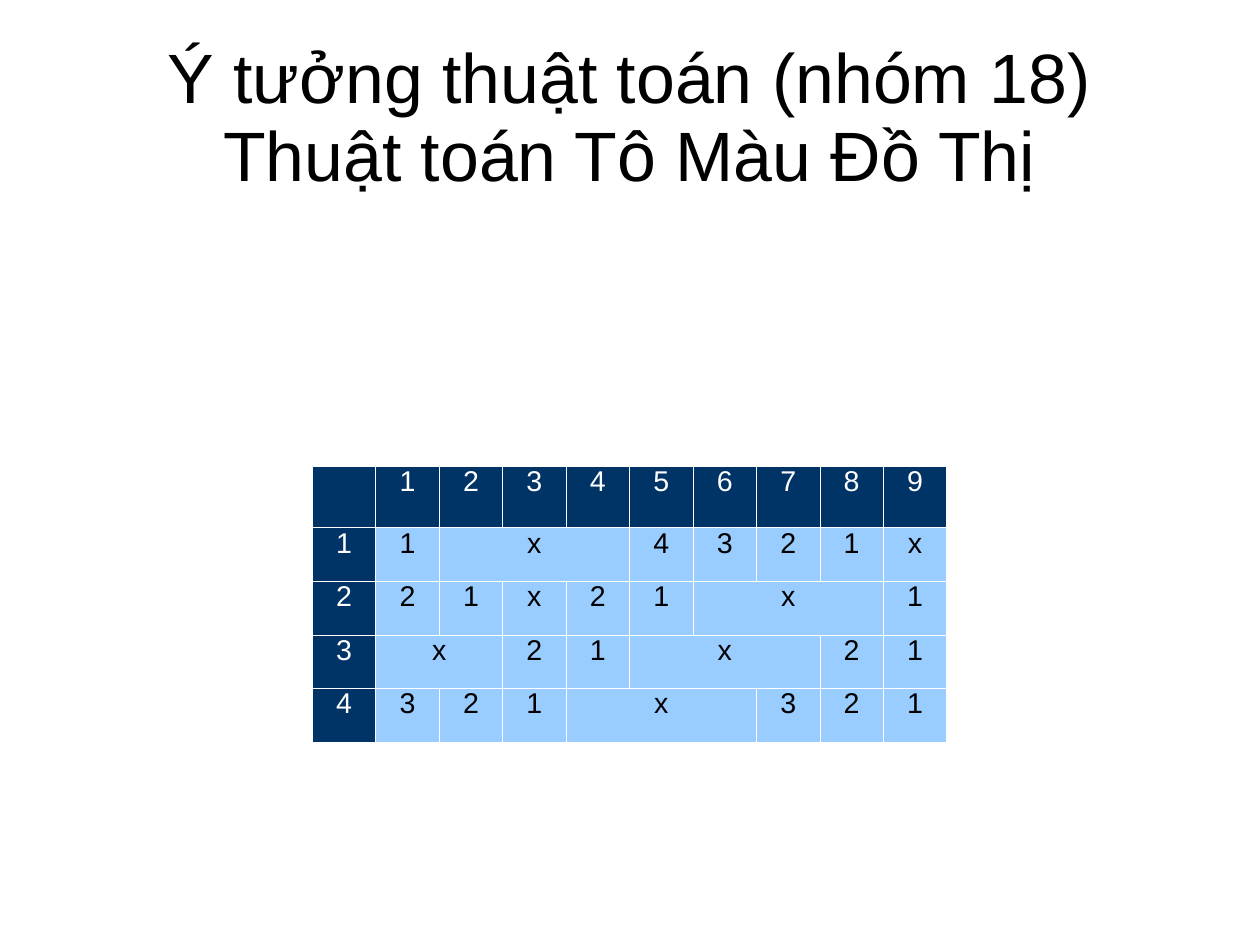
from dataclasses import dataclass

from lxml.etree import SubElement
from pptx import Presentation
from pptx.dml.color import RGBColor
from pptx.enum.text import MSO_ANCHOR, PP_ALIGN
from pptx.oxml.ns import qn
from pptx.util import Cm, Pt

# Content: one tuple per row, each entry a text and the columns it covers
TITLE = "Ý tưởng thuật toán (nhóm 18)\nThuật toán Tô Màu Đồ Thị"
HEADER = [("", 1)] + [(str(number), 1) for number in range(1, 10)]
ROWS = [
    HEADER,
    [("1", 1), ("1", 1), ("x", 3), ("4", 1), ("3", 1), ("2", 1), ("1", 1), ("x", 1)],
    [("2", 1), ("2", 1), ("1", 1), ("x", 1), ("2", 1), ("1", 1), ("x", 3), ("1", 1)],
    [("3", 1), ("x", 2), ("2", 1), ("1", 1), ("x", 3), ("2", 1), ("1", 1)],
    [("4", 1), ("3", 1), ("2", 1), ("1", 1), ("x", 3), ("3", 1), ("2", 1), ("1", 1)],
]


@dataclass(frozen=True)
class Theme:
    font: str = "Arial"
    title_size: int = 44
    cell_size: int = 18
    title_spacing: float = 0.93
    cell_spacing: float = 0.76
    border_width: float = 0.57
    text: str = "000000"
    header_text: str = "FFFFFF"
    header_fill: str = "003366"
    body_fill: str = "99CCFF"
    border: str = "FFFFFF"


THEME = Theme()

# Layout
SLIDE_WIDTH, SLIDE_HEIGHT = Cm(28), Cm(21)
COLUMN_WIDTH = Cm(1.41)
HEADER_HEIGHT, BODY_HEIGHT = Cm(1.37), Cm(1.19)
TABLE_LEFT, TABLE_TOP = Cm(6.94), Cm(10.36)


def write(text_frame, text, size, color, spacing):
    paragraph = text_frame.paragraphs[0]
    paragraph.text = text
    paragraph.alignment = PP_ALIGN.CENTER
    paragraph.line_spacing = spacing
    paragraph.font.name = THEME.font
    paragraph.font.size = Pt(size)
    paragraph.font.color.rgb = RGBColor.from_string(color)


def add_borders(cell):
    properties = cell._tc.get_or_add_tcPr()
    for side in ("a:lnL", "a:lnR", "a:lnT", "a:lnB"):
        line = SubElement(properties, qn(side), w=str(Pt(THEME.border_width)))
        fill = SubElement(line, qn("a:solidFill"))
        SubElement(fill, qn("a:srgbClr"), val=THEME.border)


def add_title(slide):
    box = slide.shapes.add_textbox(Cm(1.4), Cm(0.81), Cm(25.2), Cm(3.58))
    frame = box.text_frame
    frame.word_wrap = True
    frame.vertical_anchor = MSO_ANCHOR.MIDDLE
    frame.margin_left = frame.margin_right = frame.margin_bottom = 0
    frame.margin_top = Cm(0.1)
    write(frame, TITLE, THEME.title_size, THEME.text, THEME.title_spacing)


def add_color_table(slide):
    row_count, column_count = len(ROWS), len(HEADER)
    table = slide.shapes.add_table(
        row_count, column_count, TABLE_LEFT, TABLE_TOP,
        COLUMN_WIDTH * column_count,
        HEADER_HEIGHT + BODY_HEIGHT * (row_count - 1),
    ).table
    for column in table.columns:
        column.width = COLUMN_WIDTH
    for index, row in enumerate(table.rows):
        row.height = BODY_HEIGHT if index else HEADER_HEIGHT

    # Fills and borders
    for row_index in range(row_count):
        for column_index in range(column_count):
            cell = table.cell(row_index, column_index)
            is_body = row_index and column_index
            add_borders(cell)
            cell.fill.solid()
            cell.fill.fore_color.rgb = RGBColor.from_string(
                THEME.body_fill if is_body else THEME.header_fill)

    # Texts and merged cells
    for row_index, entries in enumerate(ROWS):
        column_index = 0
        for text, span in entries:
            cell = table.cell(row_index, column_index)
            if span > 1:
                cell.merge(table.cell(row_index, column_index + span - 1))
            color = THEME.text if row_index and column_index else THEME.header_text
            write(cell.text_frame, text, THEME.cell_size, color, THEME.cell_spacing)
            column_index += span


def main():
    presentation = Presentation()
    presentation.slide_width = SLIDE_WIDTH
    presentation.slide_height = SLIDE_HEIGHT
    slide = presentation.slides.add_slide(presentation.slide_layouts[6])
    add_title(slide)
    add_color_table(slide)
    presentation.save("out.pptx")


if __name__ == "__main__":
    main()
